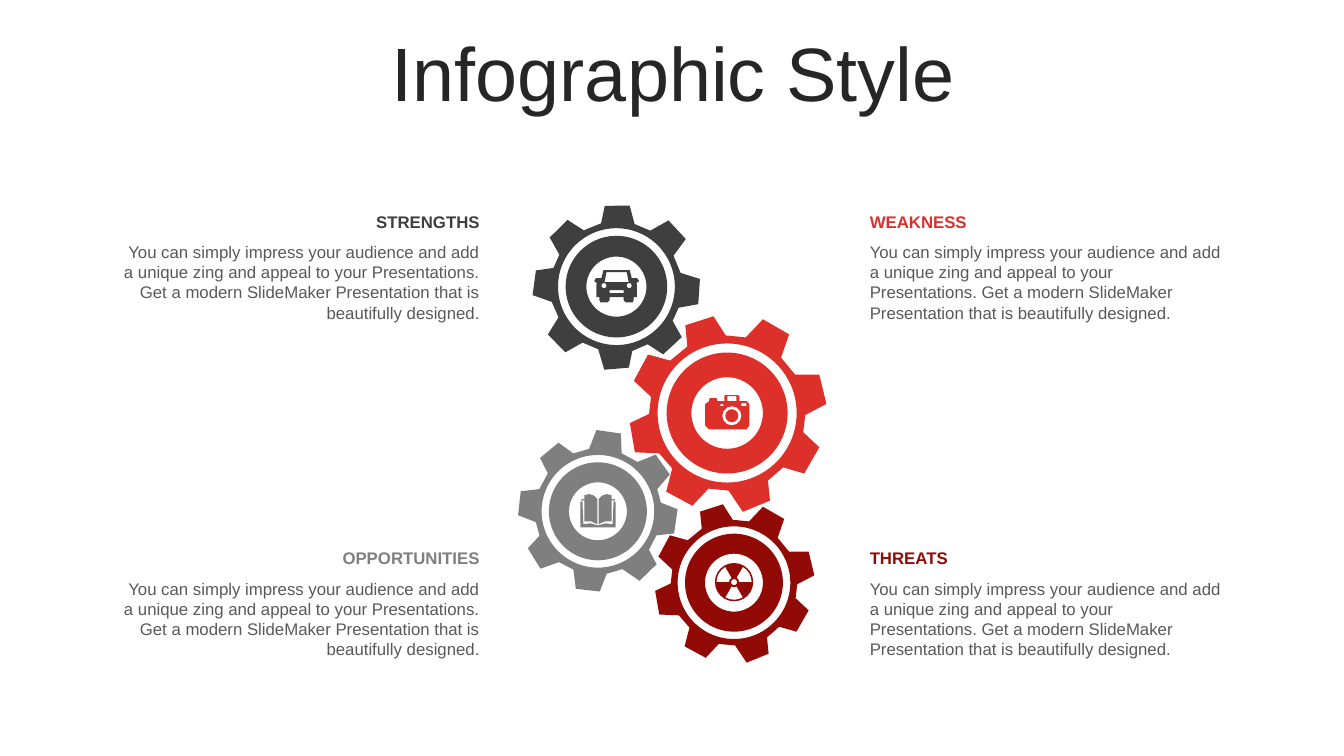
from math import cos, radians, sin

from lxml.etree import SubElement as Sub
from pptx import Presentation
from pptx.dml.color import RGBColor
from pptx.enum.text import MSO_ANCHOR as Anchor, MSO_AUTO_SIZE as Fit, PP_ALIGN as Align
from pptx.oxml.ns import qn
from pptx.util import Cm, Pt

INK = RGBColor(0x26, 0x26, 0x26)
BODY = RGBColor(0x59, 0x59, 0x59)
DARK = RGBColor(0x3F, 0x3F, 0x3F)
RED = RGBColor(0xDE, 0x30, 0x2A)
GREY = RGBColor(0x7F, 0x7F, 0x7F)
WINE = RGBColor(0x92, 0x0A, 0x06)

FONT = "Arial"
UNIT = Cm(0.0254)  # one step of the drawing grids below
COPY = ("You can simply impress your audience and add a unique zing and appeal "
        "to your Presentations. Get a modern SlideMaker Presentation that is "
        "beautifully designed.")

# Gear teeth on a grid around HUB, as they stand when turned by TILT degrees
HUB = (96.5, 98)
TILT = 224.2
TEETH = [
    (132, 5), (115, 23), (95, 21), (83, 2), (55, 11), (57, 32), (40, 46), (18, 40),
    (4, 66), (21, 82), (19, 99), (0, 108), (5, 137), (29, 138), (42, 153), (36, 176),
    (62, 190), (78, 173), (98, 175), (112, 196), (139, 185), (137, 165), (152, 152),
    (173, 158), (188, 132), (172, 117), (174, 100), (195, 89), (188, 60), (164, 60),
    (150, 43), (158, 20),
]
RINGS = [(0, 0, r) for r in (35.5, 60, 69)]


def arc(r, start, end, step):
    return [(r * cos(radians(a)), r * sin(radians(a)))
            for a in range(start, end + 1, step)]


def rect(left, top, right, bottom):
    return [(left, top), (right, top), (right, bottom), (left, bottom)]


def mirror(half, width):
    """Close a right half with its reflection across the middle of the width."""
    return half + [(width - x, y) for x, y in reversed(half)]


def turn(point, angle):
    (x, y), a = point, radians(angle)
    return x * cos(a) - y * sin(a), x * sin(a) + y * cos(a)


# Each icon gives its loops, its circles (x, y, radius) and its middle.
def car():
    body = mirror([(35, 0), (37, 8), (42, 8), (44, 10), (44, 11), (42, 13), (41, 13),
                   (42, 14), (42, 27), (39, 27), (39, 30), (38, 32), (31, 32),
                   (29, 30), (29, 27)], 44)
    glass = mirror([(32, 2), (34, 12)], 44)
    lamps = [(x, 15.5, 2.5) for x in (9.5, 34.5)]
    return [body, glass, rect(15, 20, 29, 23)], lamps, (22, 16)


def camera():
    body = [(20, 0), (33, 0), (34, 1), (34, 6), (41, 6), (44, 9), (44, 30), (41, 34),
            (4, 34), (0, 30), (0, 9), (4, 6), (4, 4), (5, 3), (11, 3), (12, 4),
            (12, 6), (19, 6), (19, 1)]
    lens = [(26.5, 20.5, r) for r in (6.5, 9.5)]
    panes = [rect(15, 9, 18, 11), rect(36, 8, 41, 11), rect(22, 1, 31, 6)]
    return [body, *panes], lens, (22, 17)


def book():
    half = [(18, 31), (25, 29), (32, 30), (33, 6), (31, 6), (31, 27), (24.5, 27),
            (18, 30), (18, 5), (21.5, 1.5), (26, 0), (31, 1), (31, 5), (34, 5),
            (34, 8), (35, 8), (35, 33)]
    return [mirror(half, 35)], [], (17.5, 16.5)


def hazard():
    blades = [arc(17.5, a, a + 60, 15) + arc(5, a, a + 60, 30)[::-1]
              for a in (60, 180, 300)]
    return [arc(19, 0, 345, 15), *blades], [(0, 0, 3)], (0, 0)


def ring(shape, x, y, r):
    """Add a circle to the outline of a freeform, at a place on the slide."""
    track = shape._element.find(".//" + qn("a:path"))
    move = Sub(track, qn("a:moveTo"))
    Sub(move, qn("a:pt"), x=str(round(x + r - shape.left)), y=str(round(y - shape.top)))
    for start in (0, 10800000):
        Sub(track, qn("a:arcTo"), wR=str(round(r)), hR=str(round(r)),
            stAng=str(start), swAng="10800000")
    Sub(track, qn("a:close"))


def draw(slide, loops, rounds, mid, x, y, scale, color):
    """Fill loops and circles as one shape, with the grid point mid at x, y."""
    def place(px, py):
        return x + (px - mid[0]) * scale, y + (py - mid[1]) * scale

    first, *rest = [[place(*point) for point in loop] for loop in loops]
    pen = slide.shapes.build_freeform(*first[0], scale=1.0)
    pen.add_line_segments(first[1:])
    for loop in rest:
        pen.move_to(*loop[0])
        pen.add_line_segments(loop[1:])
    shape = pen.convert_to_shape()
    for px, py, r in rounds:
        ring(shape, *place(px, py), r * scale)
    shape.shadow.inherit = False
    shape.fill.solid()
    shape.fill.fore_color.rgb = color
    shape.line.fill.background()
    return shape


def gear(slide, x, y, size, tilt, color, icon):
    teeth = [turn((px - HUB[0], py - HUB[1]), -TILT) for px, py in TEETH]
    wheel = draw(slide, [teeth], RINGS, (0, 0), x, y, UNIT * size, color)
    wheel.rotation = tilt
    draw(slide, *icon(), x, y, UNIT, color)


def gears(slide, left, top):
    for x, y, size, tilt, color, icon in (
        (2.44, 2.11, 0.84, 241.5, DARK, car),
        (5.23, 5.29, 1, 224.2, RED, camera),
        (1.97, 7.77, 0.81, 202.3, GREY, book),
        (5.4, 9.57, 0.81, 224.2, WINE, hazard),
    ):
        gear(slide, left + Cm(x), top + Cm(y), size, tilt, color, icon)


def write(frame, text, size, color, align, bold=False):
    frame.word_wrap = True
    para = frame.paragraphs[0]
    para.alignment = align
    run = para.add_run()
    run.text = text
    font = run.font
    font.name, font.size, font.bold = FONT, Pt(size), bold
    font.color.rgb = color
    return para


def note(slide, left, top, width, head, color, align):
    high = Cm(0.76)
    for y, tall, text, tint, bold in (
        (top, high, head, color, True),
        (top + high, Cm(2.31), COPY, BODY, False),
    ):
        frame = slide.shapes.add_textbox(left, y, width, tall).text_frame
        write(frame, text, 12, tint, align, bold)
        frame.auto_size = Fit.SHAPE_TO_FIT_TEXT


def title(slide, left, top, width, height):
    head = slide.shapes.title
    head.left, head.top, head.width, head.height = left, top, width, height
    frame = head.text_frame
    frame.auto_size = Fit.NONE
    frame.vertical_anchor = Anchor.MIDDLE
    write(frame, "Infographic Style", 54, INK, Align.CENTER).line_spacing = 0.9


def main():
    deck = Presentation()
    deck.slide_width, deck.slide_height = Cm(33.87), Cm(19.05)
    slide = deck.slides.add_slide(deck.slide_layouts[5])
    title(slide, Cm(0.89), Cm(0.94), Cm(32.16), Cm(2.01))
    gears(slide, Cm(13.1), Cm(5.1))
    for top, pair in (
        (Cm(5.21), (("STRENGTHS", DARK), ("WEAKNESS", RED))),
        (Cm(13.69), (("OPPORTUNITIES", GREY), ("THREATS", WINE))),
    ):
        note(slide, Cm(2.79), top, Cm(9.55), *pair[0], Align.RIGHT)
        note(slide, Cm(21.67), top, Cm(9.37), *pair[1], Align.LEFT)
    deck.save("out.pptx")


if __name__ == "__main__":
    main()
